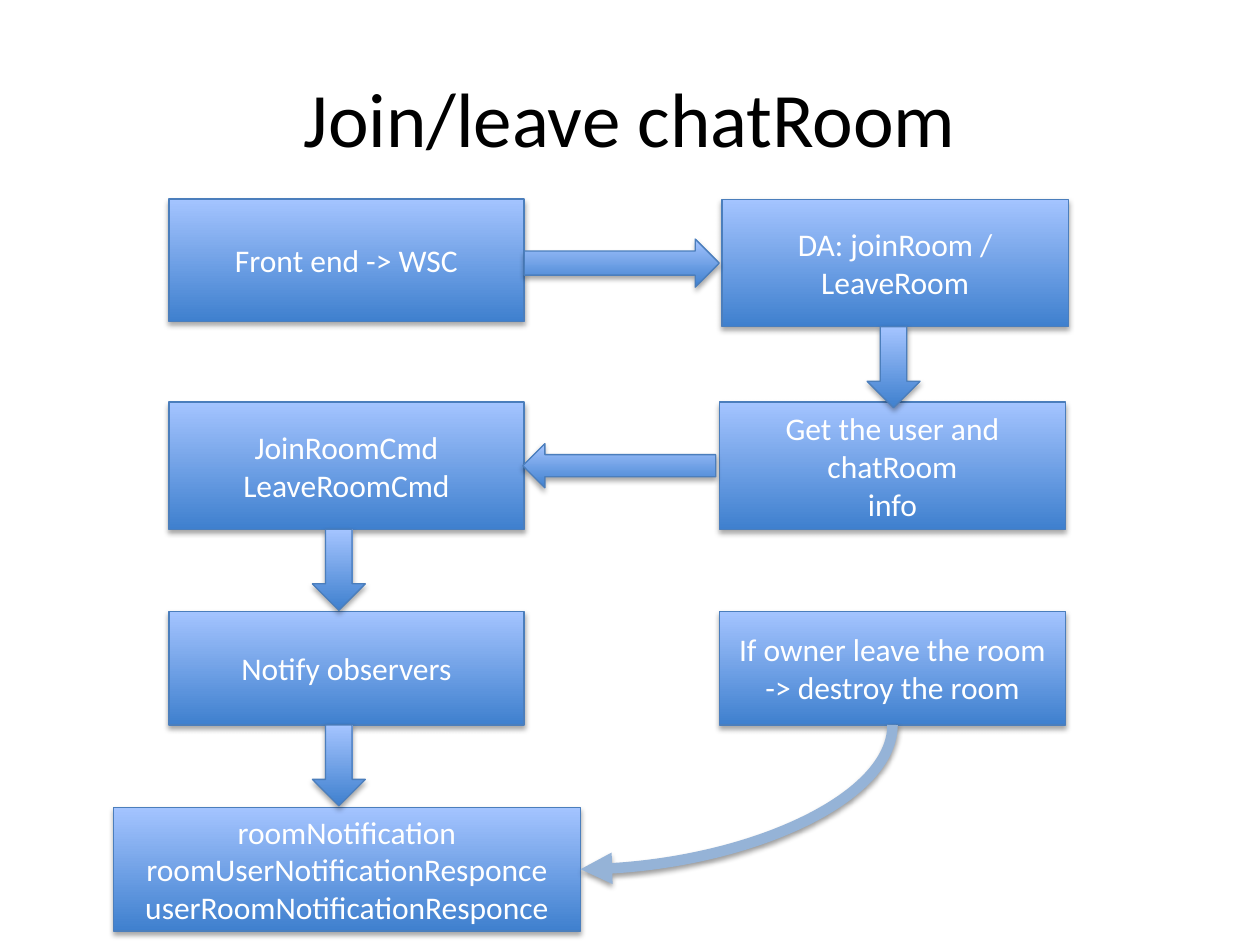
from pptx import Presentation
from pptx.util import Pt
from pptx.dml.color import RGBColor
from pptx.enum.shapes import MSO_SHAPE, MSO_CONNECTOR
from pptx.enum.text import PP_ALIGN, MSO_ANCHOR
from pptx.oxml import parse_xml
from pptx.oxml.ns import nsdecls
from dataclasses import dataclass


@dataclass
class Theme:
    font: str = "Calibri"
    title: int = 44
    body: int = 18
    ink: str = "000000"
    light: str = "FFFFFF"
    low: str = "3F80CE"
    high: str = "A4C4FF"
    edge: str = "4B7EBC"
    curve: str = "95B3D7"


theme = Theme()

# Content: name, lines, left, top, width, height
title = "Join/leave chatRoom"
steps = [
    ("front", ["Front end -> WSC"], 96.5, 113.75, 203, 70),
    ("cmd", ["JoinRoomCmd", "LeaveRoomCmd"], 96.5, 229.75, 203, 72.75),
    ("notify", ["Notify observers"], 96.5, 349.25, 203, 65),
    ("info", ["Get the user and chatRoom", "info"], 411, 229.75, 198, 72.75),
    ("owner", ["If owner leave the room", "-> destroy the room"],
     411, 349.25, 198, 65),
    ("access", ["DA: joinRoom / LeaveRoom"], 412.5, 114, 198, 72.75),
    ("reply", ["roomNotification", "roomUserNotificationResponce",
               "userRoomNotificationResponce"], 64.75, 461.5, 267, 70.5),
]
# Down arrows: step above, left; side arrows: kind, step beside, left, width, height
downs = [("cmd", 178.5), ("notify", 178.5), ("access", 495.5)]
sides = [
    (MSO_SHAPE.RIGHT_ARROW, "access", 299.5, 111.5, 27.5),
    (MSO_SHAPE.LEFT_ARROW, "info", 298.75, 110.25, 25.25),
]
down_size = (30.25, 46.25)


def style(frame, size, color):
    frame.vertical_anchor = MSO_ANCHOR.MIDDLE
    for para in frame.paragraphs:
        para.alignment = PP_ALIGN.CENTER
        for run in para.runs:
            run.font.name = theme.font
            run.font.size = Pt(size)
            run.font.color.rgb = RGBColor.from_string(color)


def shade(props, alpha, dist):
    effects = props.find("{*}effectLst")
    if effects is None:
        effects = parse_xml(f"<a:effectLst {nsdecls('a')}/>")
        props.append(effects)
    effects.append(parse_xml(
        f'<a:outerShdw {nsdecls("a")} blurRad="{Pt(3.1)}" dist="{Pt(dist)}" '
        f'dir="5400000" rotWithShape="0"><a:srgbClr val="000000">'
        f'<a:alpha val="{alpha * 1000}"/></a:srgbClr></a:outerShdw>'))


def block(kind, *place):
    shape = slide.shapes.add_shape(kind, *map(Pt, place))
    shape.fill.gradient()
    shape.fill.gradient_angle = 90
    for stop, color, pos in zip(shape.fill.gradient_stops,
                                (theme.low, theme.high), (0, 1)):
        stop.color.rgb = RGBColor.from_string(color)
        stop.position = pos
    shape.line.color.rgb = RGBColor.from_string(theme.edge)
    shape.line.width = Pt(0.75)
    shape.shadow.inherit = False
    shade(shape._element.spPr, 35, 1.8)
    return shape


deck = Presentation()
deck.slide_width, deck.slide_height = Pt(720), Pt(540)
slide = deck.slides.add_slide(deck.slide_layouts[5])

# Title
head = slide.shapes.title
head.left, head.top, head.width, head.height = map(Pt, (36, 21.6, 648, 90))
head.text_frame.text = title
style(head.text_frame, theme.title, theme.ink)

# Steps
boxes, spots = {}, {}
for name, lines, *place in steps:
    box = block(MSO_SHAPE.RECTANGLE, *place)
    box.text_frame.word_wrap = True
    box.text_frame.text = "\n".join(lines)
    style(box.text_frame, theme.body, theme.light)
    boxes[name], spots[name] = box, place

# Block arrows
for name, left in downs:
    _, top, _, tall = spots[name]
    block(MSO_SHAPE.DOWN_ARROW, left, top + tall, *down_size)
for kind, name, left, wide, high in sides:
    _, top, _, tall = spots[name]
    block(kind, left, top + (tall - high) / 2, wide, high)

# Curve from the owner's bottom to the reply's right side
x, y, w, h = spots["owner"]
rx, ry, rw, rh = spots["reply"]
x1, y1, x2, y2 = x + w / 2, y + h, rx + rw, ry + rh / 2
link = slide.shapes.add_connector(MSO_CONNECTOR.CURVE, 0, 0, 0, 0)
link.begin_connect(boxes["owner"], 2)
link.end_connect(boxes["reply"], 3)
# The quarter curve is turned by 90 degrees, so width and height swap
wide, tall = y2 - y1, x1 - x2
link.left, link.top = Pt((x1 + x2 - wide) / 2), Pt((y1 + y2 - tall) / 2)
link.width, link.height = Pt(wide), Pt(tall)
link.line.color.rgb = RGBColor.from_string(theme.curve)
link.line.width = Pt(6)
props = link._element.spPr
frame = props.find("{*}xfrm")
for flip in ("flipH", "flipV"):
    frame.attrib.pop(flip, None)
frame.set("rot", "5400000")
props.find("{*}prstGeom").set("prst", "curvedConnector2")
props.find("{*}ln").append(
    parse_xml(f'<a:tailEnd {nsdecls("a")} type="triangle"/>'))
shade(props, 38, 1.6)

deck.save("out.pptx")
